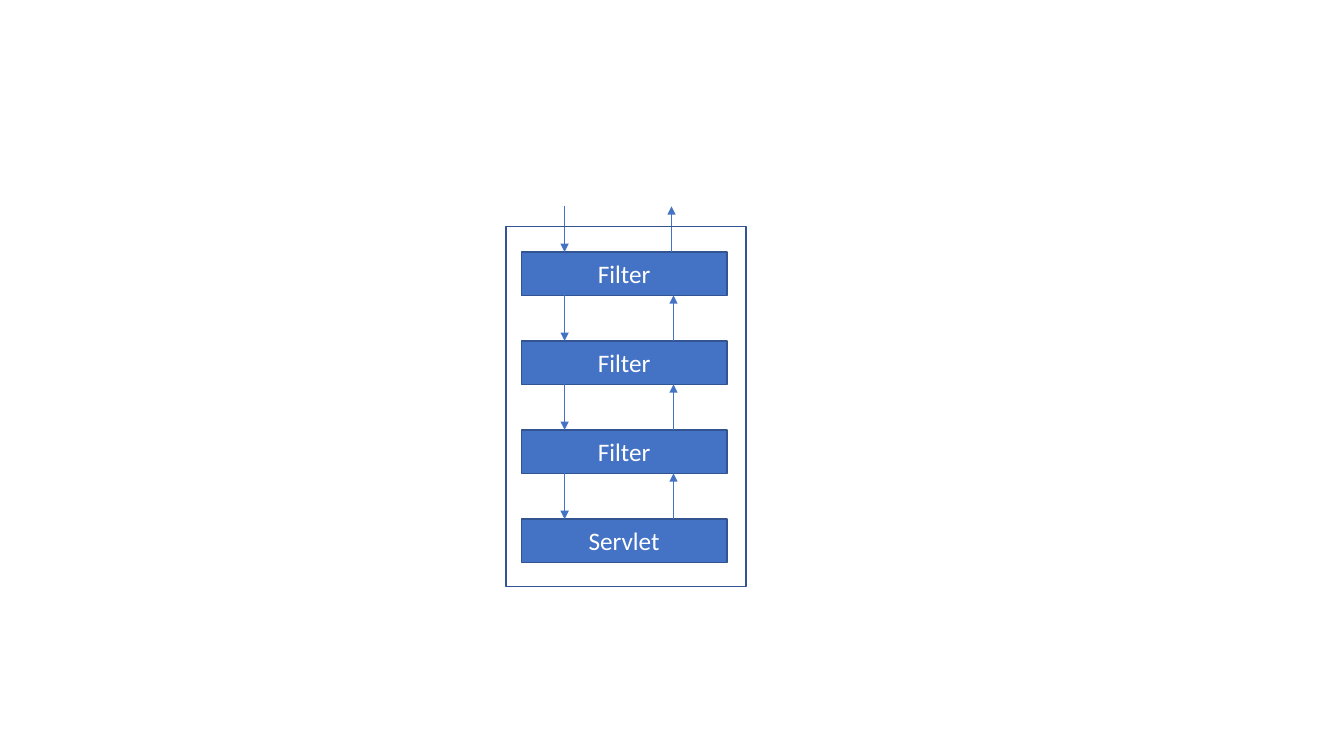
import pptx
import pptx.util
import pptx.dml.color
import pptx.enum.shapes
import pptx.enum.text
import pptx.oxml
import pptx.oxml.ns
import lxml.etree

Inches = pptx.util.Inches
WIDTH, HEIGHT = 13.33, 7.5
LABELS = ["Filter", "Filter", "Filter", "Servlet"]
LEFT, TOP = 5.17, 2.5
BOX_W, BOX_H = 2.04, 0.43
PITCH = 0.883
GAP = PITCH - BOX_H
DOWN_X, UP_X, EXIT_X = 5.6, 6.68, 6.66
COLORS = {"fill": "4472C4", "edge": "325491", "text": "FFFFFF"}


def color(name):
    """Return the named colour."""
    return pptx.dml.color.RGBColor.from_string(COLORS[name])


def add_box(slide, left, top, width, height):
    """Add an outlined rectangle without fill."""
    box = slide.shapes.add_shape(
        pptx.enum.shapes.MSO_SHAPE.RECTANGLE,
        Inches(left), Inches(top), Inches(width), Inches(height))
    box.shadow.inherit = False
    box.fill.background()
    box.line.color.rgb = color("edge")
    box.line.width = pptx.util.Pt(1)
    return box


def add_stage(slide, row, label):
    """Add the filled, labelled box of one row in the chain."""
    box = add_box(slide, LEFT, TOP + row * PITCH, BOX_W, BOX_H)
    box.fill.solid()
    box.fill.fore_color.rgb = color("fill")
    frame = box.text_frame
    frame.vertical_anchor = pptx.enum.text.MSO_ANCHOR.MIDDLE
    frame.text = label
    para = frame.paragraphs[0]
    para.alignment = pptx.enum.text.PP_ALIGN.CENTER
    para.font.name = "Calibri"
    para.font.size = pptx.util.Pt(18)
    para.font.color.rgb = color("text")


def add_arrow(slide, x, start, end):
    """Add a vertical arrow that points at end."""
    arrow = slide.shapes.add_connector(
        pptx.enum.shapes.MSO_CONNECTOR.STRAIGHT,
        Inches(x), Inches(start), Inches(x), Inches(end))
    arrow.line.color.rgb = color("fill")
    arrow.line.width = pptx.util.Pt(0.5)
    qn = pptx.oxml.ns.qn
    line = arrow.line._get_or_add_ln()
    lxml.etree.SubElement(line, qn("a:tailEnd"), type="triangle")
    lxml.etree.SubElement(arrow._element.spPr, qn("a:effectLst"))


def main():
    """Build the filter chain slide."""
    deck = pptx.Presentation()
    deck.slide_width, deck.slide_height = Inches(WIDTH), Inches(HEIGHT)
    slide = deck.slides.add_slide(deck.slide_layouts[6])
    for row, label in enumerate(LABELS):
        add_stage(slide, row, label)
    for row in range(len(LABELS)):
        low = TOP + row * PITCH
        add_arrow(slide, DOWN_X, low - GAP, low)
        add_arrow(slide, UP_X if row else EXIT_X, low, low - GAP)
    add_box(slide, 5.02, 2.25, 2.38, 3.57)
    deck.save("out.pptx")


main()
